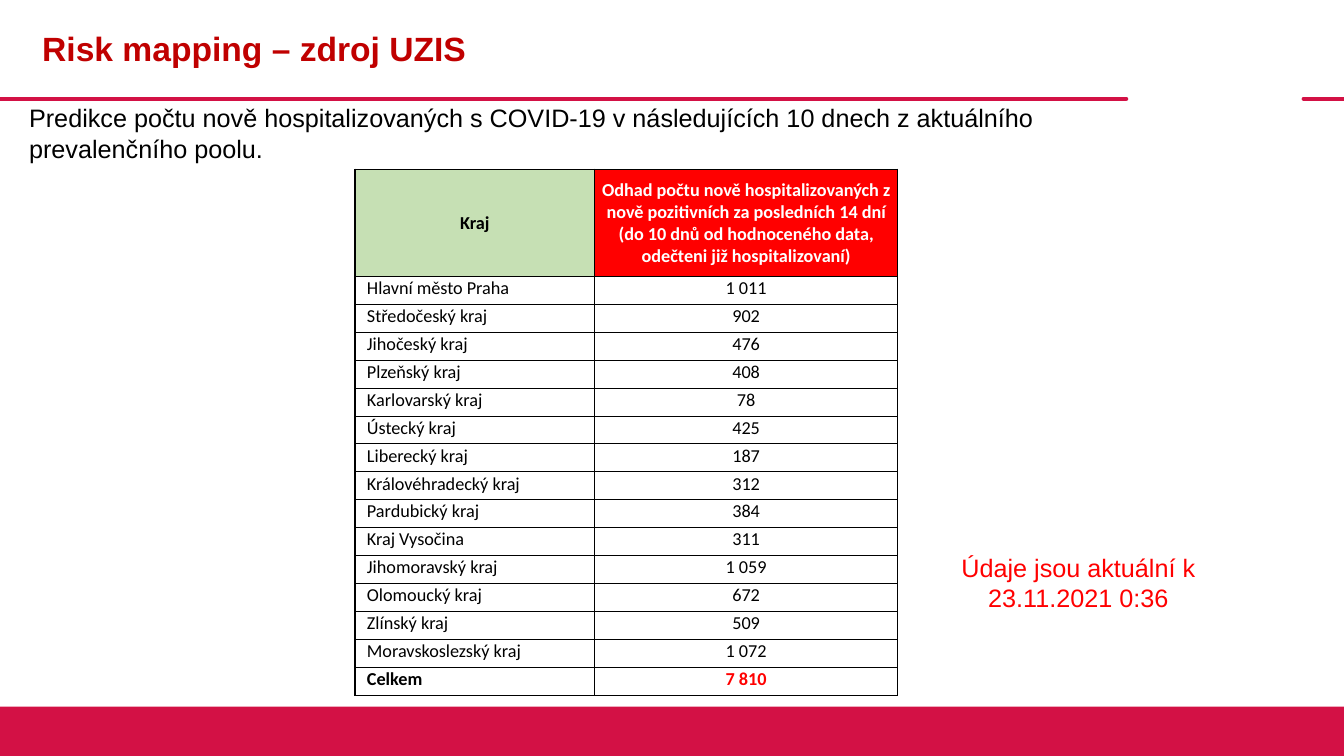
import pptx
import pptx.dml.color
import pptx.enum.shapes
import pptx.enum.text
import pptx.oxml
import pptx.oxml.ns
import pptx.util

PX = 9144
WIDTH, HEIGHT = 1333, 750
COLORS = {"brand": "D31145", "title": "C00000", "black": "000000",
          "white": "FFFFFF", "red": "FF0000", "green": "C6E0B4"}
ALIGN = pptx.enum.text.PP_ALIGN
ANCHOR = pptx.enum.text.MSO_ANCHOR
HEADERS = [
    ("Kraj", "black", "green"),
    ("Odhad počtu nově hospitalizovaných z nově pozitivních za posledních 14 dní "
     "(do 10 dnů od hodnoceného data, odečteni již hospitalizovaní)", "white", "red"),
]
REGIONS = [
    ("Hlavní město Praha", "1 011"), ("Středočeský kraj", "902"),
    ("Jihočeský kraj", "476"), ("Plzeňský kraj", "408"),
    ("Karlovarský kraj", "78"), ("Ústecký kraj", "425"),
    ("Liberecký kraj", "187"), ("Královéhradecký kraj", "312"),
    ("Pardubický kraj", "384"), ("Kraj Vysočina", "311"),
    ("Jihomoravský kraj", "1 059"), ("Olomoucký kraj", "672"),
    ("Zlínský kraj", "509"), ("Moravskoslezský kraj", "1 072"),
    ("Celkem", "7 810"),
]


def px(*lengths):
    """Turn pixel lengths into a list of EMU lengths."""
    return [pptx.util.Emu(length * PX) for length in lengths]


def rgb(name):
    """Return the named palette colour."""
    return pptx.dml.color.RGBColor.from_string(COLORS[name])


def write(frame, text, size=18, font="Arial", color="black", bold=False,
          align=ALIGN.LEFT, spacing=None):
    """Put one formatted paragraph into a text frame."""
    frame.word_wrap = True
    paragraph = frame.paragraphs[0]
    paragraph.alignment = align
    paragraph.line_spacing = spacing
    run = paragraph.add_run()
    run.text = text
    run.font.size = pptx.util.Pt(size)
    run.font.name = font
    run.font.bold = bold
    run.font.color.rgb = rgb(color)


def add_text(slide, box, text, **text_format):
    """Add a text box with one paragraph."""
    write(slide.shapes.add_textbox(*px(*box)).text_frame, text, **text_format)


def add_rule(slide, left, right, y):
    """Draw a thick horizontal rule with round ends."""
    rule = slide.shapes.add_connector(
        pptx.enum.shapes.MSO_CONNECTOR.STRAIGHT, *px(left, y, right, y))
    rule.line.color.rgb = rgb("brand")
    rule.line.width = pptx.util.Pt(3)
    rule.line._get_or_add_ln().set("cap", "rnd")
    rule._element.spPr.append(pptx.oxml.parse_xml(
        f"<a:effectLst {pptx.oxml.ns.nsdecls('a')}/>"))


def add_frame(slide, box):
    """Draw the broken rule below the title and the band at the foot."""
    left, top, width, height = box
    add_rule(slide, left, left + 1117, top + 98)
    add_rule(slide, left + 1293, left + width, top + 98)
    band = slide.shapes.add_shape(pptx.enum.shapes.MSO_SHAPE.RECTANGLE,
                                  *px(left, top + height - 49, width, 49))
    band.shadow.inherit = False
    band.fill.solid()
    band.fill.fore_color.rgb = rgb("brand")
    band.line.fill.background()


def set_borders(cell, top, bottom):
    """Give a cell black borders, one point wide at the sides."""
    properties = cell._tc.get_or_add_tcPr()
    for index, (side, points) in enumerate(
            [("L", 1), ("R", 1), ("T", top), ("B", bottom)]):
        properties.insert(index, pptx.oxml.parse_xml(
            f'<a:ln{side} {pptx.oxml.ns.nsdecls("a")} w="{pptx.util.Pt(points)}">'
            f'<a:solidFill><a:srgbClr val="{COLORS["black"]}"/></a:solidFill>'
            f'</a:ln{side}>'))


def fill_cell(cell, text, margins, borders, fill=None, anchor=ANCHOR.TOP, **text_format):
    """Set the text, margins, borders and fill of one table cell."""
    (cell.margin_left, cell.margin_top,
     cell.margin_right, cell.margin_bottom) = px(*margins)
    cell.vertical_anchor = anchor
    if fill:
        cell.fill.solid()
        cell.fill.fore_color.rgb = rgb(fill)
    else:
        cell.fill.background()
    set_borders(cell, *borders)
    write(cell.text_frame, text, size=13, font="Calibri", **text_format)


def add_region_table(slide, box):
    """Add the table of expected hospital admissions by region."""
    table = slide.shapes.add_table(len(REGIONS) + 1, 2, *px(*box)).table
    table.first_row = table.horz_banding = False
    table.columns[0].width, table.columns[1].width = px(238, box[2] - 238)
    for index, row in enumerate(table.rows):
        row.height = px(26 if index else 106)[0]
    tight, indented = (1, 1, 1, 0), (12, 1, 1, 5)
    for column, (text, color, fill) in enumerate(HEADERS):
        fill_cell(table.cell(0, column), text, tight, (1, 1), fill=fill,
                  anchor=ANCHOR.MIDDLE, color=color, bold=True, align=ALIGN.CENTER)
    last = len(REGIONS)
    for index, (region, count) in enumerate(REGIONS, 1):
        total = index == last
        borders = (1 if index in (1, last) else 0.5, 1 if index >= last - 1 else 0.5)
        fill_cell(table.cell(index, 0), region, indented, borders, bold=total)
        fill_cell(table.cell(index, 1), count, tight, borders, bold=total,
                  color="red" if total else "black", align=ALIGN.CENTER)


def build_slide(slide, box):
    """Place every part of the risk mapping slide in its box."""
    left, top, width, height = box
    add_frame(slide, box)
    add_text(slide, (left + 32, top + 27, 1081, 50), "Risk mapping – zdroj UZIS",
             size=24, color="title", bold=True, spacing=0.9)
    add_text(slide, (left + 19, top + 97, 1093, 71),
             "Predikce počtu nově hospitalizovaných s COVID-19 v následujících "
             "10 dnech z aktuálního prevalenčního poolu.")
    add_region_table(slide, (left + 352, top + 168, 538, 521))
    add_text(slide, (left + 942, top + 543, 255, 71),
             "Údaje jsou aktuální k 23.11.2021 0:36", color="red", align=ALIGN.CENTER)


def main():
    """Build and save the presentation."""
    presentation = pptx.Presentation()
    presentation.slide_width, presentation.slide_height = px(WIDTH, HEIGHT)
    slide = presentation.slides.add_slide(presentation.slide_layouts[6])
    build_slide(slide, (0, 0, WIDTH, HEIGHT))
    presentation.save("out.pptx")


if __name__ == "__main__":
    main()
